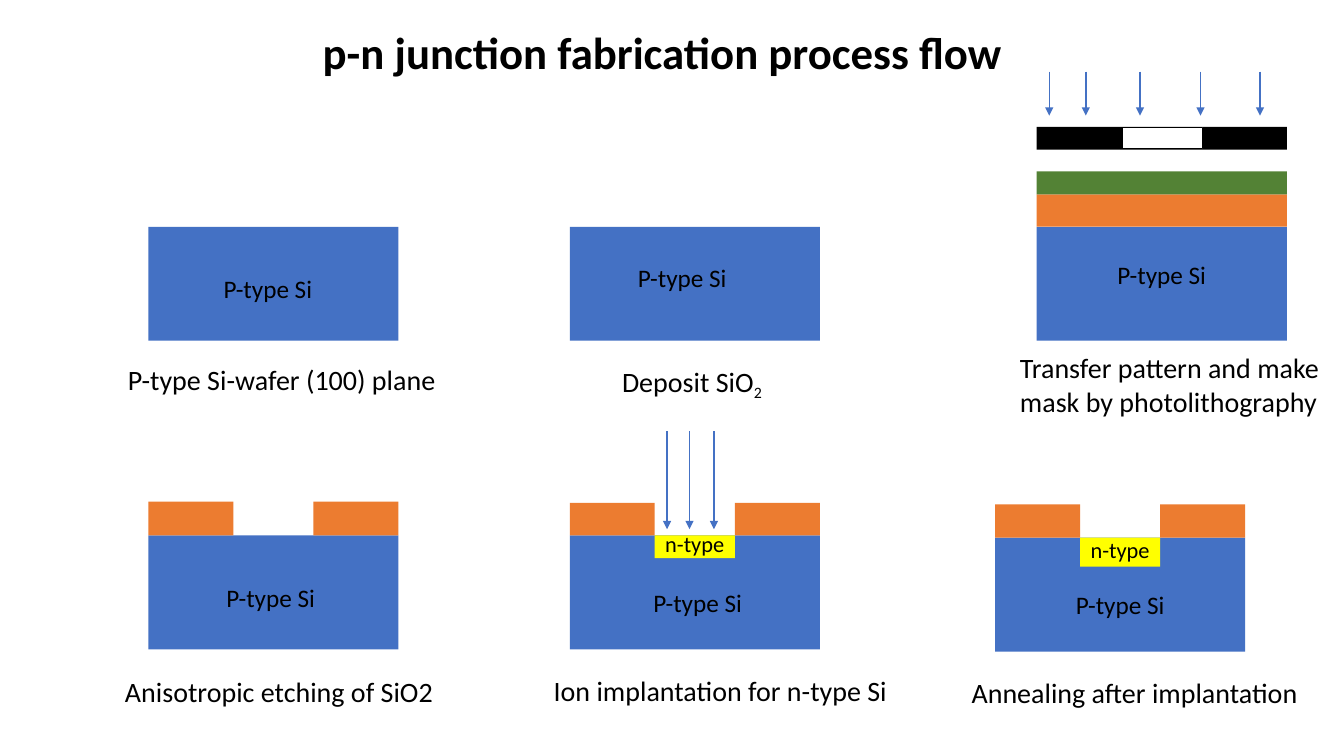
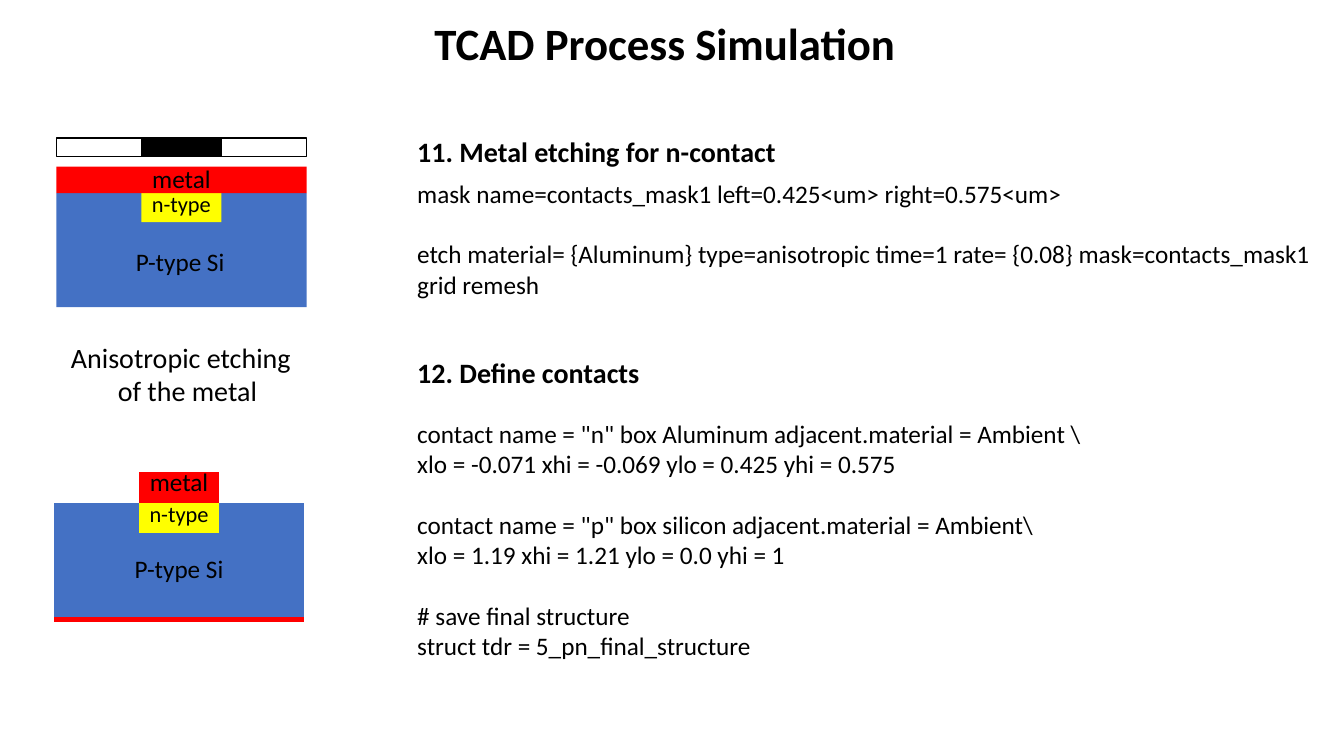
from pptx import Presentation
from pptx.util import Pt
from pptx.dml.color import RGBColor
from pptx.enum.shapes import MSO_CONNECTOR as CONN, MSO_SHAPE as SHAPE
from pptx.enum.text import MSO_ANCHOR as ANCHOR, PP_ALIGN as ALIGN
from pptx.oxml import parse_xml
from pptx.oxml.ns import nsdecls, qn

FONT = "Calibri"
C = {"silicon": "4471C4", "oxide": "EC7C30", "resist": "538235",
     "doped": "FFFF00", "metal": "FF0000", "black": "000000", "white": "FFFFFF"}
RGB = {name: RGBColor.from_string(value) for name, value in C.items()}
WAFER_W, WAFER_H = 178.7, 81.4
SIDE_W, WELL_W = 60.7, 57.2

prs = Presentation()
prs.slide_width, prs.slide_height = Pt(960), Pt(540)


def text(s, x, y, w, paras):
    """Add a text box; each paragraph is (words, size, bold, space before)."""
    tf = s.shapes.add_textbox(Pt(x), Pt(y), Pt(w), Pt(28)).text_frame
    tf.word_wrap = True
    tf.margin_left = tf.margin_right = tf.margin_top = tf.margin_bottom = 0
    for i, (words, size, bold, gap) in enumerate(paras):
        p = tf.paragraphs[0] if i == 0 else tf.add_paragraph()
        p.space_before = Pt(gap)
        for j, line in enumerate(words.split("\n")):
            if j:
                p.add_line_break()
            r = p.add_run()
            r.text = line
            r.font.name, r.font.size, r.font.bold = FONT, Pt(size), bold
            r.font.color.rgb = RGB["black"]
    return tf


def box(s, x, y, w, h, fill, label="", size=18, dx=0, dy=0, outline=False):
    """Add a rectangle whose label sits dx, dy away from its centre."""
    sp = s.shapes.add_shape(SHAPE.RECTANGLE, Pt(x), Pt(y), Pt(w), Pt(h))
    sp.shadow.inherit = False
    sp.fill.solid()
    sp.fill.fore_color.rgb = RGB[fill]
    if outline:
        sp.line.color.rgb = RGB["black"]
        sp.line.width = Pt(0.96)
    else:
        sp.line.fill.background()
    if label:
        tf = sp.text_frame
        tf.word_wrap = True
        tf.vertical_anchor = ANCHOR.MIDDLE
        tf.margin_left, tf.margin_right = Pt(max(2 * dx, 0)), Pt(max(-2 * dx, 0))
        tf.margin_top, tf.margin_bottom = Pt(max(2 * dy, 0)), Pt(max(-2 * dy, 0))
        p = tf.paragraphs[0]
        p.alignment = ALIGN.CENTER
        r = p.add_run()
        r.text = label
        r.font.name, r.font.size = FONT, Pt(size)
        r.font.color.rgb = RGB["black"]


# Slide 1: process flow
flow = prs.slides.add_slide(prs.slide_layouts[6])
text(flow, 230.5, 18, 510, [("p-n junction fabrication process flow", 32, True, 0)])

# Wafers: left, top, label offset
for x, y, dx, dy in [(106, 162, -4, 3.4), (407, 162, -9, -4.4), (740.5, 162, 0, -6.6),
                     (106, 382.5, -2, 3.4), (407, 382.5, 2, 7), (710.8, 384, 0, 7)]:
    box(flow, x, y, WAFER_W, WAFER_H, "silicon", "P-type Si", dx=dx, dy=dy)

# Oxide beside the opened window: left, top, height
for x, y, h in [(106, 358.3, 24.2), (407, 359.2, 23.3), (710.8, 360.3, 23.7)]:
    for side in (x, x + SIDE_W + WELL_W):
        box(flow, side, y, SIDE_W, h, "oxide")

# Doped wells: left, top, height
for x, y, h in [(407, 382.5, 16.2), (710.8, 384, 20.8)]:
    box(flow, x + SIDE_W, y, WELL_W, h, "doped", "n-type", 16, dy=-2)

# Photolithography stack
box(flow, 740.5, 138.8, WAFER_W, 23.2, "oxide")
box(flow, 740.5, 122.4, WAFER_W, 16.4, "resist")
box(flow, 740.5, 90.7, WAFER_W, 16.2, "black")
box(flow, 802, 90.9, WELL_W, 15.3, "white", outline=True)

# Light and ion beams: top, bottom, positions
for top, bottom, xs in [(51.2, 82.6, (749.5, 775.6, 814.3, 857.5, 900)),
                        (308, 378, (476.5, 492.5, 510))]:
    for x in xs:
        beam = flow.shapes.add_connector(CONN.STRAIGHT, Pt(x), Pt(top), Pt(x), Pt(bottom))
        beam.line.color.rgb = RGB["silicon"]
        beam.line.width = Pt(1)
        beam.line._get_or_add_ln().append(
            parse_xml(f'<a:tailEnd {nsdecls("a")} type="triangle"/>'))
        beam._element.spPr.append(parse_xml(f'<a:effectLst {nsdecls("a")}/>'))

for x, y, w, words in [
        (91.4, 259, 235, "P-type Si-wafer (100) plane"),
        (728.6, 250.3, 225, "Transfer pattern and make\nmask by photolithography"),
        (89.3, 481.5, 235, "Anisotropic etching of SiO2"),
        (395.5, 481, 250, "Ion implantation for n-type Si"),
        (694, 482.7, 245, "Annealing after implantation")]:
    text(flow, x, y, w, [(words, 20, False, 0)])
deposit = text(flow, 444.3, 260.3, 115, [("Deposit SiO", 20, False, 0)])
r = deposit.paragraphs[0].add_run()
r.text = "2"
r.font.name, r.font.size = FONT, Pt(19.5)
r.font.color.rgb = RGB["black"]
r.font._element.set("baseline", "-21000")

# Slide 2: simulation
sim = prs.slides.add_slide(prs.slide_layouts[6])
text(sim, 310.3, 11, 360, [("TCAD Process Simulation", 32, True, 0)])

text(sim, 298, 96.4, 655, [
    ("11. Metal etching for n-contact", 20, True, 0),
    ("mask name=contacts_mask1 left=0.425<um> right=0.575<um>", 18, False, 7),
    ("etch material= {Aluminum} type=anisotropic time=1 rate= {0.08} "
     "mask=contacts_mask1\ngrid remesh", 18, False, 21.5)])
text(sim, 298, 254.2, 500, [
    ("12. Define contacts", 20, True, 0),
    ('contact name = "n" box Aluminum adjacent.material = Ambient \\\n'
     "xlo = -0.071 xhi = -0.069 ylo = 0.425 yhi = 0.575", 18, False, 20.4),
    ('contact name = "p" box silicon adjacent.material = Ambient\\\n'
     "xlo = 1.19 xhi = 1.21 ylo = 0.0 yhi = 1", 18, False, 22),
    ("# save final structure\nstruct tdr = 5_pn_final_structure", 18, False, 22)])

etching = text(sim, 49.7, 243, 175, [("Anisotropic etching\nof the metal", 20, False, 0)])
pPr = etching.paragraphs[0]._p.get_or_add_pPr()
pPr.set("marL", str(Pt(34.5)))
pPr.set("indent", str(Pt(-33.5)))

# Wafer before etching, under its mask
box(sim, 40.3, 138, WAFER_W, WAFER_H, "silicon", "P-type Si", dx=-1, dy=8)
box(sim, 40.3 + SIDE_W, 138, WELL_W, 20.8, "doped", "n-type", 16, dy=-3)
box(sim, 40.3, 119, WAFER_W, 19, "metal", "metal", dy=-1)
box(sim, 40.3, 98.6, WAFER_W, 13.4, "white", outline=True)
box(sim, 40.3 + SIDE_W, 98.6, WELL_W, 13.4, "black", outline=True)

# Wafer after etching
tbl = sim.shapes.add_table(3, 3, Pt(38.6), Pt(337.4), Pt(178.6), Pt(102.2)).table
tbl.first_row = tbl.horz_banding = False
tbl._tbl.tblPr.find(qn("a:tableStyleId")).text = "{2D5ABB26-0587-4C30-8999-92F81FD0307C}"
for col, width in zip(tbl.columns, (SIDE_W, WELL_W, SIDE_W)):
    col.width = Pt(width)
for row, height in zip(tbl.rows, (19.2, 20.9, 62.1)):
    row.height = Pt(height)
tbl.cell(2, 0).merge(tbl.cell(2, 2))

layers = [[("", None), ("metal", "metal"), ("", None)],
          [("", "silicon"), ("n-type", "doped"), ("", "silicon")],
          [("P-type Si", "silicon"), ("", "silicon"), ("", "silicon")]]
for i, layer in enumerate(layers):
    for j, (label, fill) in enumerate(layer):
        cell = tbl.cell(i, j)
        cell.margin_left = cell.margin_right = cell.margin_top = 0
        cell.margin_bottom = Pt(5 if i == 2 else 0)
        cell.vertical_anchor = ANCHOR.MIDDLE if i == 2 else ANCHOR.TOP
        if fill:
            cell.fill.solid()
            cell.fill.fore_color.rgb = RGB[fill]
        else:
            cell.fill.background()
        p = cell.text_frame.paragraphs[0]
        p.alignment = ALIGN.CENTER
        p.line_spacing = Pt(18.2)
        if label:
            r = p.add_run()
            r.text = label
            r.font.name, r.font.size = FONT, Pt(16 if label == "n-type" else 18)
            r.font.color.rgb = RGB["black"]
        if i == 2:
            cell._tc.get_or_add_tcPr().insert(0, parse_xml(
                f'<a:lnB {nsdecls("a")} w="{Pt(4.25)}"><a:solidFill>'
                f'<a:srgbClr val="{C["metal"]}"/></a:solidFill></a:lnB>'))

prs.save("out.pptx")
